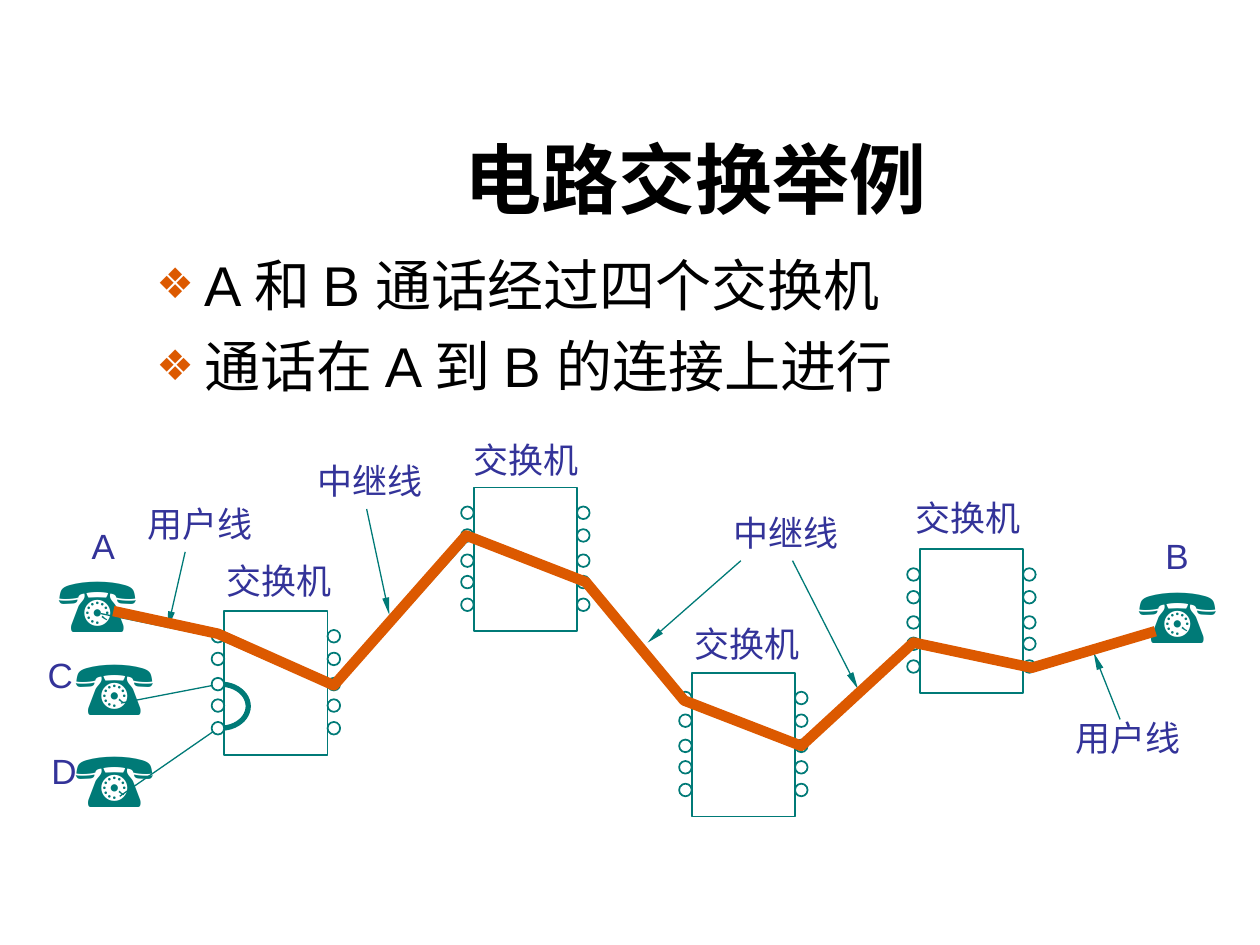
from dataclasses import dataclass
from math import cos, pi, sin

from lxml import etree
from pptx import Presentation
from pptx.dml.color import RGBColor
from pptx.enum.shapes import MSO_CONNECTOR, MSO_SHAPE
from pptx.enum.text import MSO_ANCHOR, MSO_AUTO_SIZE, PP_ALIGN
from pptx.oxml.ns import qn
from pptx.util import Inches, Pt

STRAIGHT = MSO_CONNECTOR.STRAIGHT
RECTANGLE, OVAL = MSO_SHAPE.RECTANGLE, MSO_SHAPE.OVAL
TOP, BOTTOM = MSO_ANCHOR.TOP, MSO_ANCHOR.BOTTOM
FIXED, GROW = MSO_AUTO_SIZE.NONE, MSO_AUTO_SIZE.SHAPE_TO_FIT_TEXT
LEFT, CENTER = PP_ALIGN.LEFT, PP_ALIGN.CENTER


@dataclass(frozen=True)
class Theme:
    ink: str = "000000"
    paper: str = "FFFFFF"
    teal: str = "007A77"
    orange: str = "DC5900"
    indigo: str = "333399"
    sans: str = "Arial"
    serif: str = "Times New Roman"
    title_size: int = 44
    body_size: int = 32
    label_size: int = 20
    phone_size: int = 44
    thin: float = 0.74
    outline: float = 1
    trunk: float = 3
    route: float = 6


class CircuitSlide:
    """Draws the elements of a circuit switching diagram on one slide."""

    def __init__(self, slide, theme):
        self.slide, self.shapes, self.theme = slide, slide.shapes, theme

    def style_text(self, paragraph, size, font, color, bold=False):
        for run in paragraph.runs:
            run.font.size, run.font.name, run.font.bold = Pt(size), font, bold
            run.font.color.rgb = RGBColor.from_string(color)

    def stroke(self, line, color, width):
        line.color.rgb = RGBColor.from_string(color)
        line.width = Pt(width)

    def place(self, holder, box, anchor):
        holder.left, holder.top, holder.width, holder.height = map(Inches, box)
        frame = holder.text_frame
        frame.auto_size, frame.vertical_anchor = FIXED, anchor
        return frame

    def title(self, text, box):
        frame = self.place(self.shapes.title, box, BOTTOM)
        frame.text = text
        heading = frame.paragraphs[0]
        heading.alignment = CENTER
        self.style_text(heading, self.theme.title_size, self.theme.sans, self.theme.ink, True)

    def bullets(self, points, box):
        frame = self.place(self.slide.placeholders[1], box, TOP)
        frame.text = "\n".join(points)
        for point in frame.paragraphs:
            point.alignment, point.space_before = LEFT, Pt(8)
            self.style_text(point, self.theme.body_size, self.theme.sans, self.theme.ink)
            properties = point._p.get_or_add_pPr()
            properties.set("marL", str(Inches(0.38)))
            properties.set("indent", str(-Inches(0.38)))
            bullet_color = etree.SubElement(properties, qn("a:buClr"))
            etree.SubElement(bullet_color, qn("a:srgbClr"), val=self.theme.orange)
            etree.SubElement(properties, qn("a:buSzPct"), val="75000")
            etree.SubElement(properties, qn("a:buFont"), typeface=self.theme.sans)
            etree.SubElement(properties, qn("a:buChar"), char="❖")

    def text(self, text, box, size, font, color):
        frame = self.shapes.add_textbox(*map(Inches, box)).text_frame
        frame.word_wrap, frame.auto_size = False, GROW
        frame.text = text
        self.style_text(frame.paragraphs[0], size, font, color)

    def label(self, text, left, top, width=1.05):
        font = self.theme.sans if text.isascii() else self.theme.serif
        self.text(text, (left, top, width, 0.44), self.theme.label_size, font, self.theme.indigo)

    def phone(self, left, top):
        self.text("☎", (left, top, 0.84, 0.84), self.theme.phone_size, self.theme.sans, self.theme.teal)

    def outline(self, kind, box, fill=None):
        shape = self.shapes.add_shape(kind, *map(Inches, box))
        shape.shadow.inherit = False
        if fill:
            shape.fill.solid()
            shape.fill.fore_color.rgb = RGBColor.from_string(fill)
        else:
            shape.fill.background()
        self.stroke(shape.line, self.theme.teal, self.theme.outline)

    def switch(self, left, top):
        self.outline(RECTANGLE, (left, top, 0.82, 1.14))
        for port_left in (left - 0.1, left + 0.82):
            for drop in (0.15, 0.33, 0.53, 0.7, 0.88):
                self.outline(OVAL, (port_left, top + drop, 0.1, 0.1), self.theme.paper)

    def wire(self, start, end, arrow=False):
        connector = self.shapes.add_connector(STRAIGHT, *map(Inches, start + end))
        self.stroke(connector.line, self.theme.teal, self.theme.thin)
        if arrow:
            etree.SubElement(connector.line._get_or_add_ln(), qn("a:tailEnd"),
                             type="triangle", w="sm", len="lg")
        etree.SubElement(connector._element.spPr, qn("a:effectLst"))

    def path_through(self, points, color, width):
        start, *rest = [(Inches(x), Inches(y)) for x, y in points]
        builder = self.shapes.build_freeform(*start)
        builder.add_line_segments(rest, close=False)
        route = builder.convert_to_shape()
        route.shadow.inherit = False
        route.fill.background()
        self.stroke(route.line, color, width)


theme = Theme()
deck = Presentation()
deck.slide_width, deck.slide_height = Inches(10), Inches(7.5)
diagram = CircuitSlide(deck.slides.add_slide(deck.slide_layouts[1]), theme)

diagram.title("电路交换举例", (1.26, 0.23, 8.52, 1.6))
diagram.bullets(["A 和 B 通话经过四个交换机", "通话在 A 到 B 的连接上进行"], (1.14, 1.94, 8.5, 4.5))

steps = 24
local_loop = [(1.75 + 0.22 * sin(pi * i / steps), 5.605 - 0.175 * cos(pi * i / steps))
              for i in range(steps + 1)]
diagram.path_through(local_loop, theme.teal, theme.trunk)

subscriber_wires = [((0.95, 6.32), (1.73, 5.78)), ((0.96, 5.58), (1.74, 5.43)),
                    ((8.17, 5.31), (9.19, 5)), ((0.8, 4.87), (1.73, 5.06))]
for start, end in subscriber_wires:
    diagram.wire(start, end)

trunk_line = [(1.71, 5.04), (1.72, 5.05), (2.67, 5.43), (3.72, 4.26), (4.65, 4.61),
              (5.43, 5.54), (6.37, 5.93), (7.26, 5.11), (8.2, 5.31), (8.18, 5.29)]
diagram.path_through(trunk_line, theme.teal, theme.trunk)

for left, top in [(1.78, 4.85), (3.76, 3.87), (5.49, 5.34), (7.3, 4.36)]:
    diagram.switch(left, top)

for left, top in [(0.37, 4.36), (8.94, 4.45), (0.5, 5.02), (0.5, 5.75)]:
    diagram.phone(left, top)

pointers = [((1.47, 4.38), (1.33, 4.99)), ((8.89, 5.71), (8.68, 5.18)),
            ((5.88, 4.45), (5.14, 5.1)), ((6.29, 4.45), (6.81, 5.47)),
            ((2.91, 4.04), (3.09, 4.88))]
for start, end in pointers:
    diagram.wire(start, end, arrow=True)

captions = {
    "交换机": [(1.7, 4.39), (3.66, 3.43), (5.41, 4.89), (7.17, 3.89)],
    "用户线": [(1.07, 3.94), (8.44, 5.64)],
    "中继线": [(5.72, 4.01), (2.42, 3.6)],
}
for caption, positions in captions.items():
    for left, top in positions:
        diagram.label(caption, left, top)

for subscriber, left, top in [("B", 9.15, 4.19), ("D", 0.31, 5.9), ("C", 0.28, 5.14), ("A", 0.63, 4.11)]:
    diagram.label(subscriber, left, top, 0.4)

call_route = [(0.9, 4.85), (1.73, 5.03), (2.65, 5.44), (3.7, 4.25), (4.65, 4.62),
              (5.43, 5.56), (6.36, 5.92), (7.25, 5.1), (8.19, 5.3), (9.17, 5.01)]
diagram.path_through(call_route, theme.orange, theme.route)

deck.save("out.pptx")
